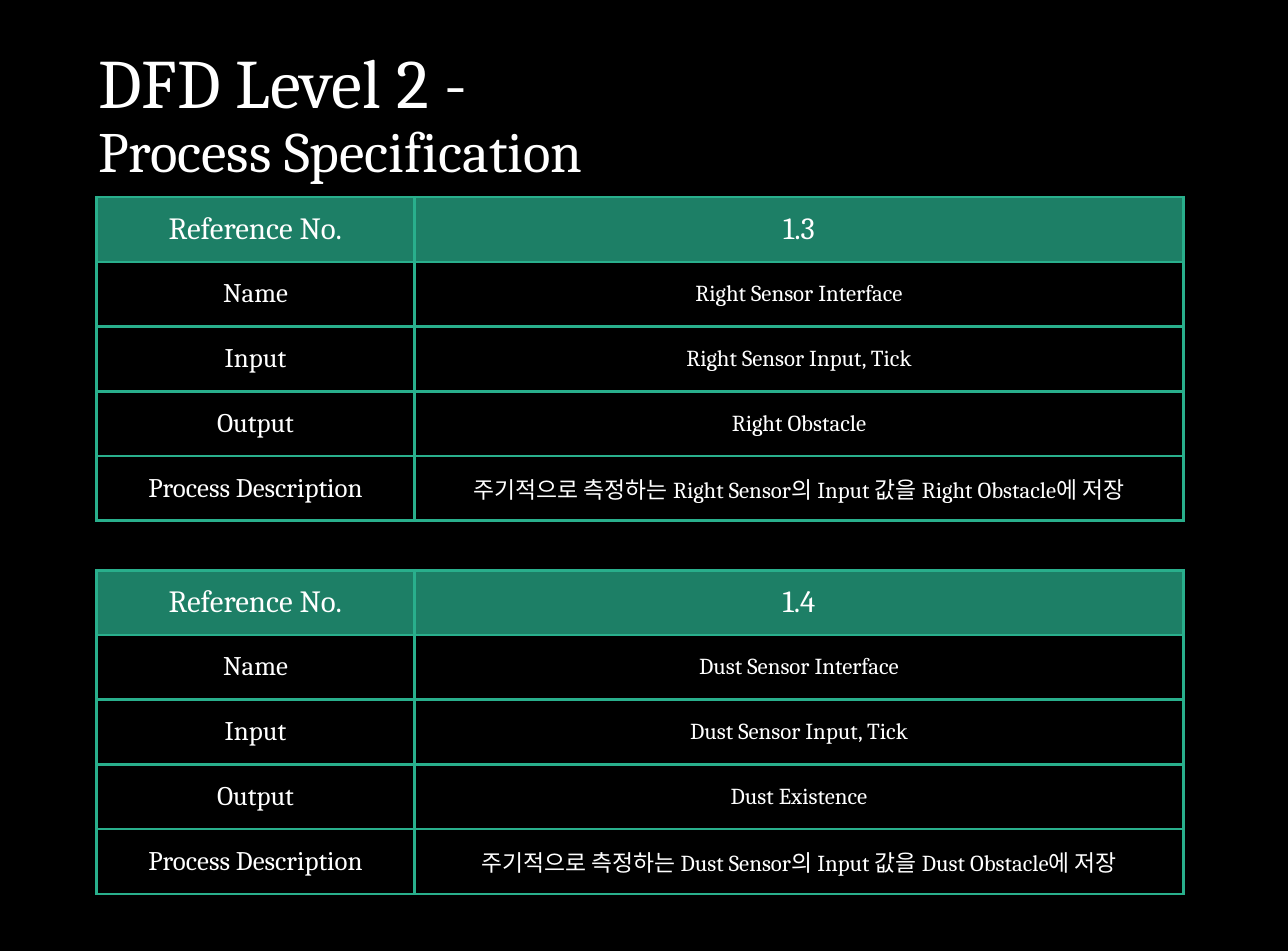
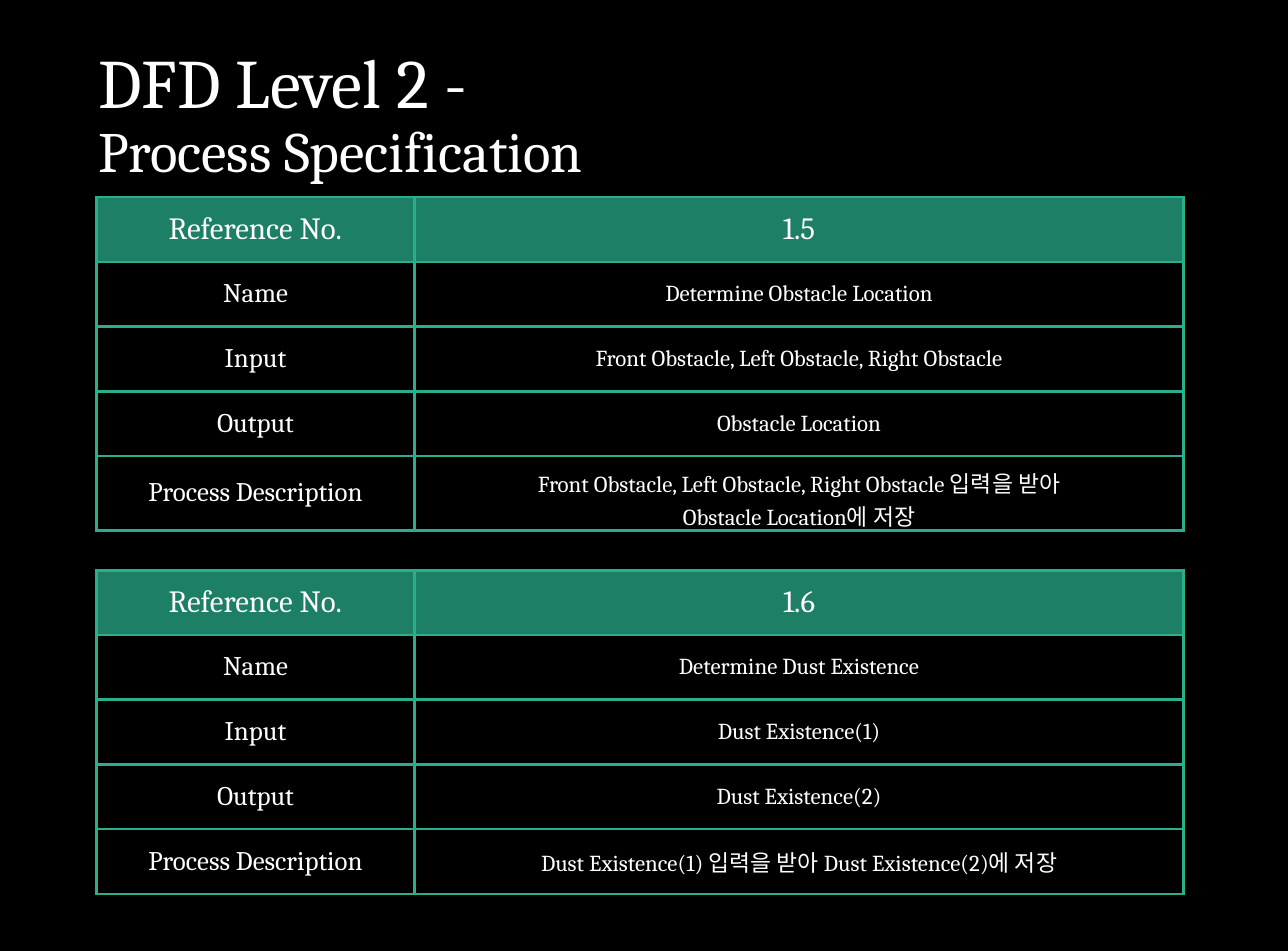
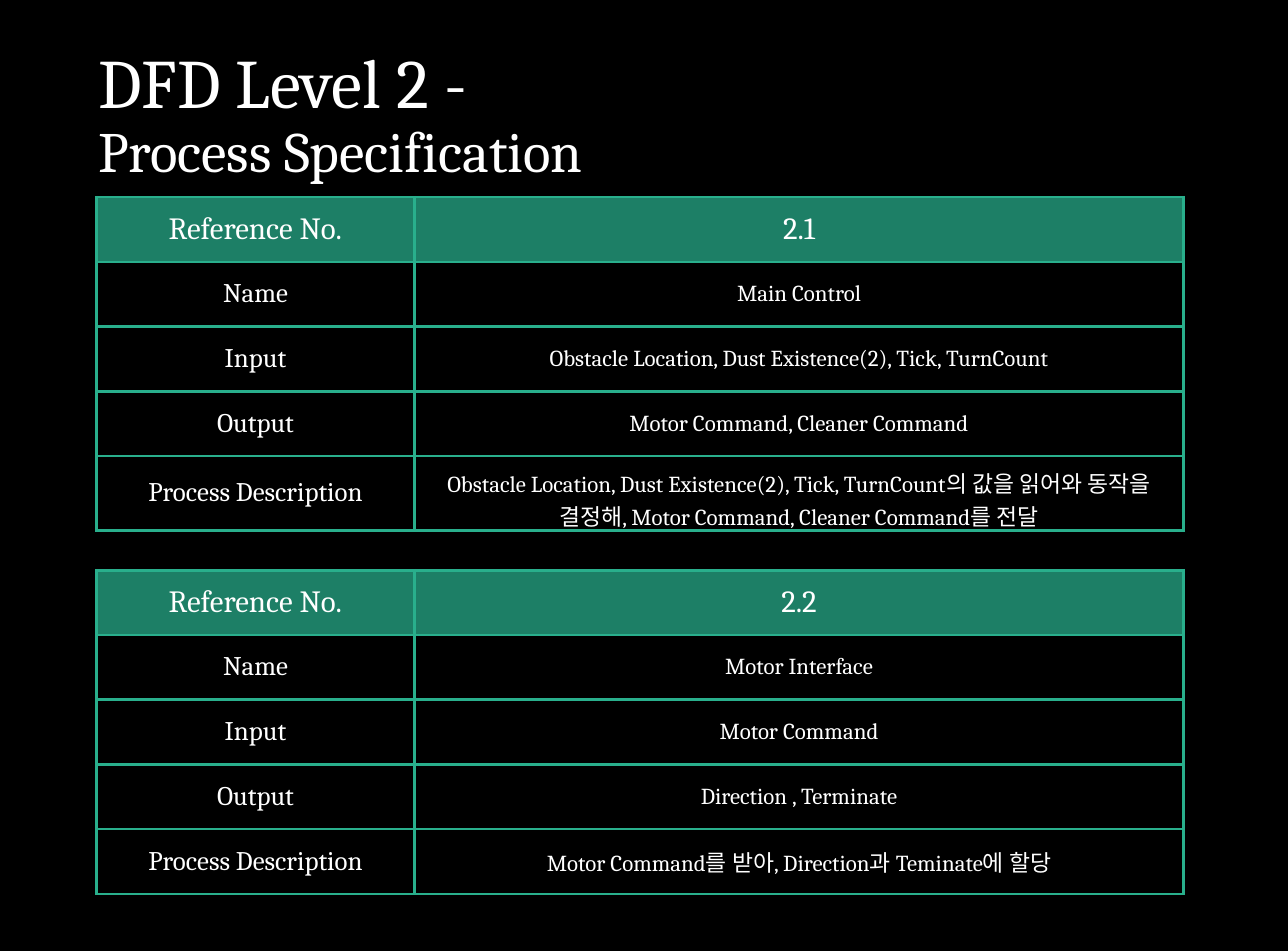
from dataclasses import dataclass

from pptx import Presentation
from pptx.dml.color import RGBColor as RGB
from pptx.enum.text import MSO_ANCHOR as Anchor, PP_ALIGN as Align
from pptx.oxml import parse_xml
from pptx.oxml.ns import nsdecls
from pptx.util import Inches, Pt

# Content: each slide holds two process specifications
TITLE = ("DFD Level 2 -", "Process Specification")
LABELS = ("Reference No.", "Name", "Input", "Output", "Process Description")
SLIDES = [
    [
        ("1.3", "Right Sensor Interface", "Right Sensor Input, Tick", "Right Obstacle",
         "주기적으로 측정하는 Right Sensor의 Input 값을 Right Obstacle에 저장"),
        ("1.4", "Dust Sensor Interface", "Dust Sensor Input, Tick", "Dust Existence",
         "주기적으로 측정하는 Dust Sensor의 Input 값을 Dust Obstacle에 저장"),
    ],
    [
        ("1.5", "Determine Obstacle Location",
         "Front Obstacle, Left Obstacle, Right Obstacle", "Obstacle Location",
         "Front Obstacle, Left Obstacle, Right Obstacle 입력을 받아\n"
         "Obstacle Location에 저장"),
        ("1.6", "Determine Dust Existence", "Dust Existence(1)", "Dust Existence(2)",
         "Dust Existence(1) 입력을 받아 Dust Existence(2)에 저장"),
    ],
    [
        ("2.1", "Main Control", "Obstacle Location, Dust Existence(2), Tick, TurnCount",
         "Motor Command, Cleaner Command",
         "Obstacle Location, Dust Existence(2), Tick, TurnCount의 값을 읽어와 동작을 "
         "결정해, Motor Command, Cleaner Command를 전달"),
        ("2.2", "Motor Interface", "Motor Command", "Direction , Terminate",
         "Motor Command를 받아, Direction과 Teminate에 할당"),
    ],
]


# Theme and layout
@dataclass(frozen=True)
class Theme:
    font: str = "Cambria"
    back: RGB = RGB(0, 0, 0)
    text: RGB = RGB(255, 255, 255)
    header: RGB = RGB.from_string("1D7F66")
    border: str = "29AF8C"
    border_width: int = Pt(2.25)
    title_sizes: tuple = (51.7, 42.5)
    header_size: int = 23
    label_size: int = 20
    value_size: int = 17


T = Theme()
TABLE_LEFT, TABLE_TOPS = 1, (2.04, 5.9)
COL_WIDTHS = (3.29, 7.96)
ROW_HEIGHT = 0.67
CELL_MARGIN = Inches(0.1)


def style(p, size):
    p.font.name, p.font.size = T.font, Pt(size)
    p.font.color.rgb = T.text


def add_title(s):
    tf = s.shapes.add_textbox(Inches(0.92), Inches(0.26), Inches(11.5), Inches(1.9)).text_frame
    tf.word_wrap = True
    tf.vertical_anchor = Anchor.MIDDLE
    tf.text = "\n".join(TITLE)
    for p, size in zip(tf.paragraphs, T.title_sizes):
        p.line_spacing = 0.9
        style(p, size)


def add_borders(cell):
    tc_pr = cell._tc.get_or_add_tcPr()
    for side in ("lnL", "lnR", "lnT", "lnB"):
        tc_pr.append(parse_xml(
            f'<a:{side} {nsdecls("a")} w="{T.border_width}"><a:solidFill>'
            f'<a:srgbClr val="{T.border}"/></a:solidFill></a:{side}>'))


def fill_cell(cell, text, size, is_header):
    cell.text = text
    cell.vertical_anchor = Anchor.MIDDLE
    cell.margin_left = cell.margin_right = CELL_MARGIN
    cell.margin_top = cell.margin_bottom = CELL_MARGIN
    add_borders(cell)
    if is_header:
        cell.fill.solid()
        cell.fill.fore_color.rgb = T.header
    else:
        cell.fill.background()
    for p in cell.text_frame.paragraphs:
        p.alignment = Align.CENTER
        style(p, size)


def add_process_table(s, top, values):
    table = s.shapes.add_table(
        len(LABELS), len(COL_WIDTHS), Inches(TABLE_LEFT), Inches(top),
        Inches(sum(COL_WIDTHS)), Inches(ROW_HEIGHT * len(LABELS))).table
    table.first_row = table.horz_banding = False
    for column, width in zip(table.columns, COL_WIDTHS):
        column.width = Inches(width)
    for i, row in enumerate(zip(LABELS, values)):
        table.rows[i].height = Inches(ROW_HEIGHT)
        sizes = (T.label_size, T.value_size) if i else (T.header_size,) * 2
        for j, (text, size) in enumerate(zip(row, sizes)):
            fill_cell(table.cell(i, j), text, size, i == 0)


def main():
    prs = Presentation()
    prs.slide_width, prs.slide_height = Inches(13.33), Inches(9.84)
    back = prs.slide_master.background.fill
    back.solid()
    back.fore_color.rgb = T.back
    for processes in SLIDES:
        s = prs.slides.add_slide(prs.slide_layouts[6])
        add_title(s)
        for top, values in zip(TABLE_TOPS, processes):
            add_process_table(s, top, values)
    prs.save("out.pptx")


if __name__ == "__main__":
    main()
